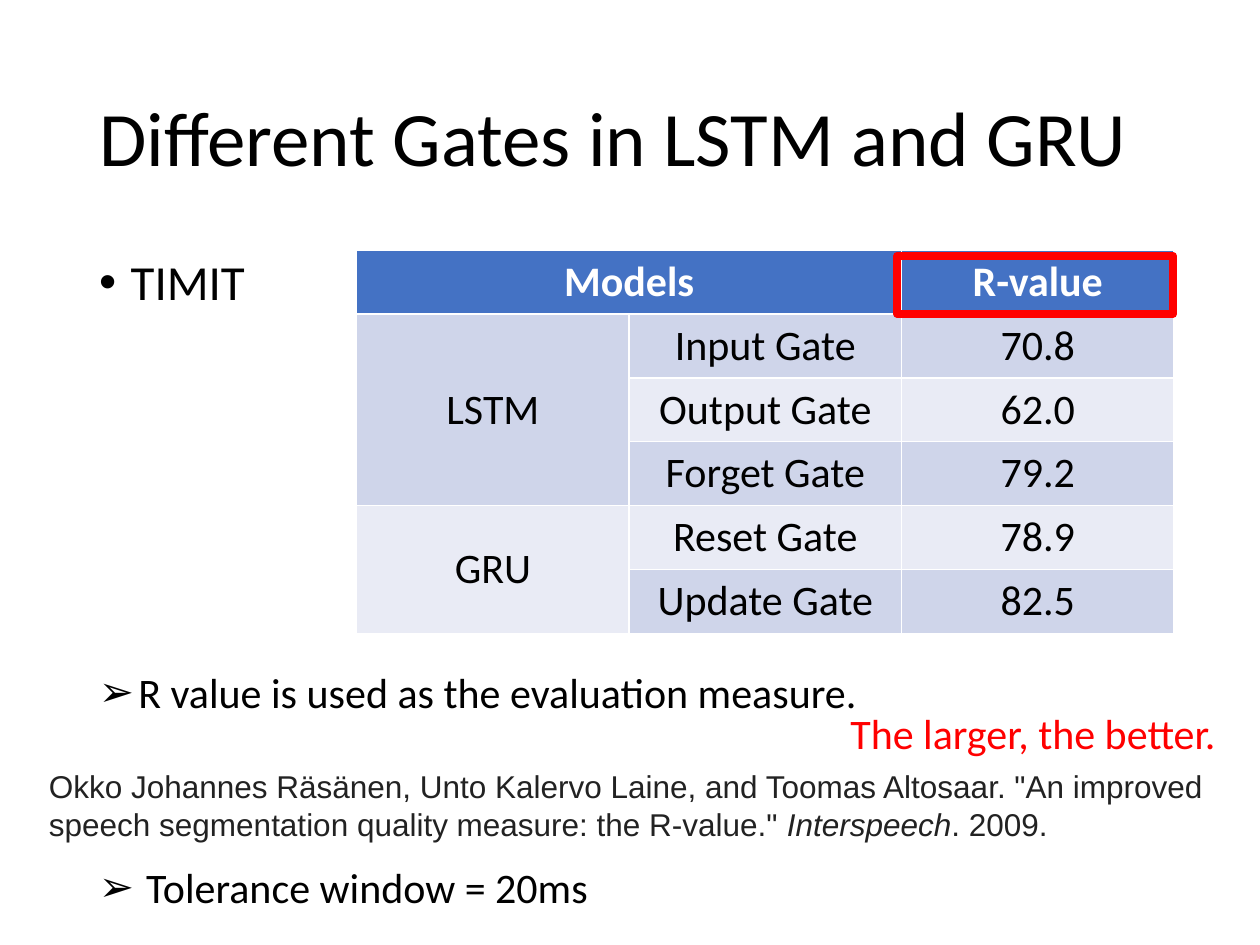
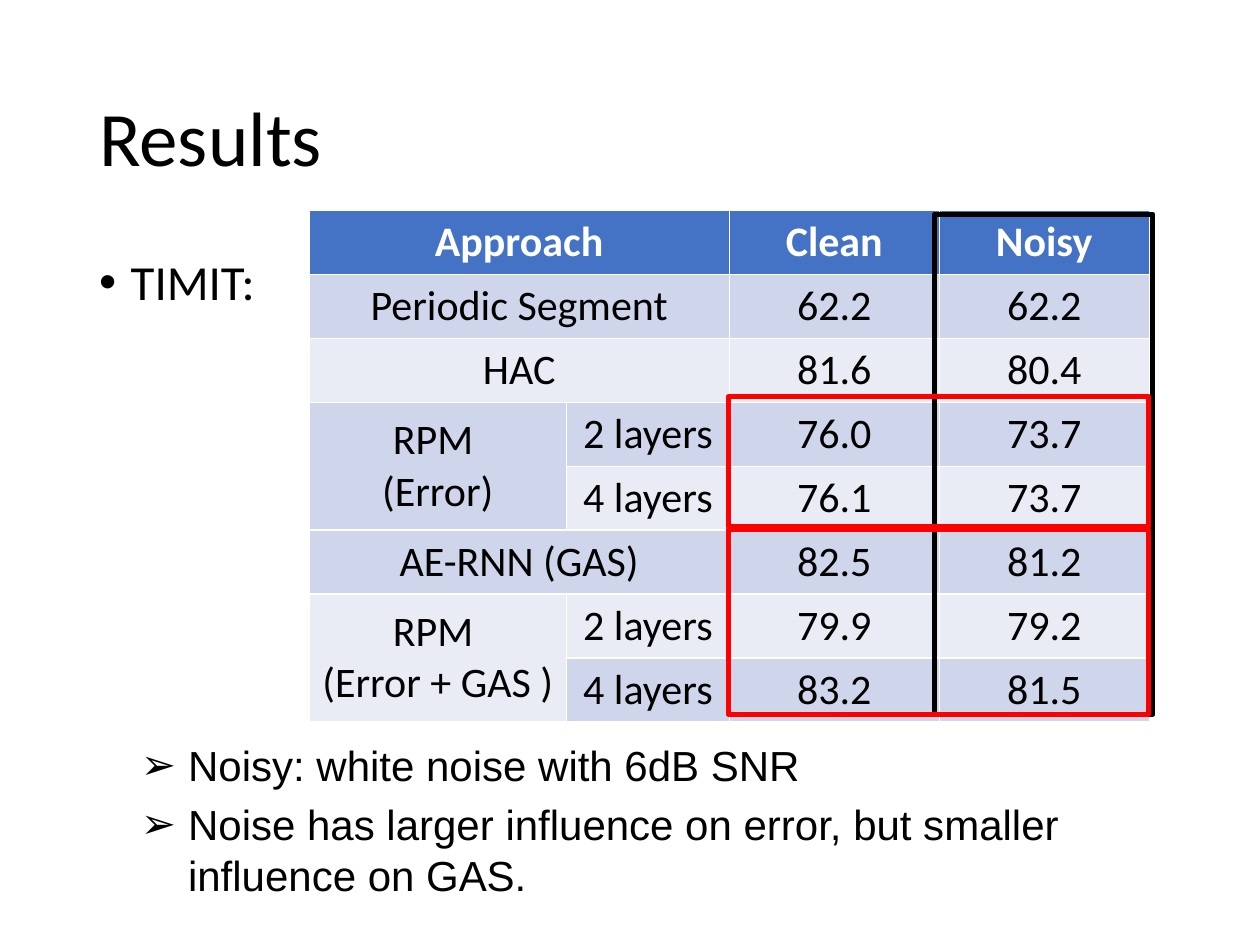
from dataclasses import dataclass

from lxml import etree
from pptx import Presentation
from pptx.dml.color import RGBColor
from pptx.enum import shapes, text
from pptx.oxml import ns
from pptx.util import Pt


@dataclass(frozen=True)
class Theme:
    ink: str = "000000"
    citation: str = "222222"
    accent: str = "FF0000"
    header: str = "4472C4"
    header_ink: str = "FFFFFF"
    bands: tuple = ("E9EBF5", "CFD5EA")  # even rows, odd rows
    sans: str = "Calibri"
    plain: str = "Arial"
    title_size: int = 44
    list_size: int = 28
    text_size: int = 24
    citation_size: int = 18
    row_height: float = 36.4


THEME = Theme()
TITLE_BOX = (49.5, 28.8, 621, 104.4)
BODY_BOX = (49.5, 144, 621, 342.7)


def place(shape, box):
    shape.left, shape.top, shape.width, shape.height = map(Pt, box)


def style(paragraph, size, color=THEME.ink, name=THEME.sans, bold=False):
    font = paragraph.font
    font.size, font.name, font.bold = Pt(size), name, bold
    font.color.rgb = RGBColor.from_string(color)


def set_bullet(paragraph, character, indent):
    properties = paragraph._p.get_or_add_pPr()
    properties.set("marL", str(Pt(indent)))
    properties.set("indent", str(-Pt(indent)))
    etree.SubElement(properties, ns.qn("a:buFont")).set("typeface", THEME.plain)
    etree.SubElement(properties, ns.qn("a:buChar")).set("char", character)


# Title and topic, shared by both slides
def add_content_slide(presentation, title, topic):
    slide = presentation.slides.add_slide(presentation.slide_layouts[1])
    parts = (
        (slide.shapes.title, TITLE_BOX, title, THEME.title_size, text.MSO_ANCHOR.MIDDLE),
        (slide.placeholders[1], BODY_BOX, topic, THEME.list_size, text.MSO_ANCHOR.TOP),
    )
    for shape, box, wording, size, anchor in parts:
        place(shape, box)
        frame = shape.text_frame
        frame.text = wording
        frame.auto_size = text.MSO_AUTO_SIZE.NONE
        frame.vertical_anchor = anchor
        paragraph = frame.paragraphs[0]
        paragraph.alignment = text.PP_ALIGN.LEFT
        paragraph.line_spacing = 0.9
        style(paragraph, size)
    paragraph.space_before = Pt(10)
    set_bullet(paragraph, "•", 18)
    return slide


# Banded table; merges are (first row, first column, last row, last column)
def add_score_table(slide, left, top, widths, rows, merges):
    height = THEME.row_height * len(rows)
    frame = slide.shapes.add_table(
        len(rows), len(widths), Pt(left), Pt(top), Pt(sum(widths)), Pt(height))
    table = frame.table
    for column, width in zip(table.columns, widths):
        column.width = Pt(width)
    for row_index, row in enumerate(rows):
        table.rows[row_index].height = Pt(THEME.row_height)
        is_header = row_index == 0
        fill = THEME.header if is_header else THEME.bands[row_index % 2]
        color = THEME.header_ink if is_header else THEME.ink
        for column_index, wording in enumerate(row):
            cell = table.cell(row_index, column_index)
            cell.text = wording
            cell.vertical_anchor = text.MSO_ANCHOR.MIDDLE
            cell.fill.solid()
            cell.fill.fore_color.rgb = RGBColor.from_string(fill)
            for paragraph in cell.text_frame.paragraphs:
                paragraph.alignment = text.PP_ALIGN.CENTER
                style(paragraph, THEME.text_size, color, bold=is_header)
    for first_row, first_column, last_row, last_column in merges:
        table.cell(first_row, first_column).merge(table.cell(last_row, last_column))


# Outline around a group of cells
def add_highlight(slide, box, color, weight):
    shape = slide.shapes.add_shape(shapes.MSO_SHAPE.RECTANGLE, *map(Pt, box))
    shape.shadow.inherit = False
    shape.fill.background()
    shape.line.color.rgb = RGBColor.from_string(color)
    shape.line.width = Pt(weight)


# Free text, with an arrow bullet when an indent is given
def add_note(slide, box, wording, indent=0, wrap=True, size=THEME.text_size,
             color=THEME.ink, name=THEME.sans):
    frame = slide.shapes.add_textbox(*map(Pt, box)).text_frame
    frame.word_wrap = wrap
    frame.auto_size = text.MSO_AUTO_SIZE.SHAPE_TO_FIT_TEXT
    paragraph = frame.paragraphs[0]
    paragraph.text = wording
    style(paragraph, size, color, name)
    if indent:
        set_bullet(paragraph, "➢", indent)
    return paragraph


def build_gates_slide(presentation):
    slide = add_content_slide(presentation, "Different Gates in LSTM and GRU", "TIMIT")
    rows = (
        ("Models", "", "R-value"),
        ("LSTM", "Input Gate", "70.8"),
        ("", "Output Gate", "62.0"),
        ("", "Forget Gate", "79.2"),
        ("GRU", "Reset Gate", "78.9"),
        ("", "Update Gate", "82.5"),
    )
    merges = ((0, 0, 0, 1), (1, 0, 3, 0), (4, 0, 5, 0))
    add_score_table(slide, 203.8, 142.9, [155.7] * 3, rows, merges)
    add_highlight(slide, (512.7, 146.2, 157.7, 33.2), THEME.accent, 4.5)

    # Evaluation measure and its source
    add_note(slide, (49.5, 377.3, 525.6, 36), "R value is used as the evaluation measure.", 22.5)
    add_note(slide, (478.8, 401, 226, 36), "The larger, the better.",
             wrap=False, color=THEME.accent)
    citation = add_note(
        slide, (20.9, 434.9, 683.3, 51),
        "Okko Johannes Räsänen, Unto Kalervo Laine, and Toomas Altosaar. "
        '"An improved speech segmentation quality measure: the R-value." ',
        size=THEME.citation_size, color=THEME.citation, name=THEME.plain)
    venue = citation.add_run()
    venue.text = "Interspeech"
    venue.font.italic = True
    citation.add_run().text = ". 2009."
    add_note(slide, (49.5, 488.9, 544.3, 36), "Tolerance window = 20ms", 27)


def build_results_slide(presentation):
    slide = add_content_slide(presentation, "Results", "TIMIT:")
    rows = (
        ("Approach", "", "Clean", "Noisy"),
        ("Periodic Segment", "", "62.2", "62.2"),
        ("HAC", "", "81.6", "80.4"),
        ("RPM \n(Error)", "2 layers", "76.0", "73.7"),
        ("", "4 layers", "76.1", "73.7"),
        ("AE-RNN (GAS)", "", "82.5", "81.2"),
        ("RPM \n(Error + GAS )", "2 layers", "79.9", "79.2"),
        ("", "4 layers", "83.2", "81.5"),
    )
    merges = [(row, 0, row, 1) for row in (0, 1, 2, 5)]
    merges += [(row, 0, row + 1, 0) for row in (3, 6)]
    add_score_table(slide, 176.6, 120.4, (147.2, 93, 120, 120), rows, merges)

    # Findings
    for top, width, wording in (
        (419, 411.8, "Noisy: white noise with 6dB SNR"),
        (452.9, 583.2, "Noise has larger influence on error, but smaller influence on GAS."),
    ):
        add_note(slide, (73.4, top, width, 36), wording, 27, name=THEME.plain)

    # Noisy column, then the rows without and with GAS
    add_highlight(slide, (534.2, 122.4, 124.6, 285.8), THEME.ink, 3)
    for top, height in ((226.8, 74.2), (302.4, 105.8)):
        add_highlight(slide, (416.2, top, 240, height), THEME.accent, 3)


def main():
    presentation = Presentation()
    presentation.slide_width, presentation.slide_height = Pt(720), Pt(540)
    build_gates_slide(presentation)
    build_results_slide(presentation)
    presentation.save("out.pptx")


if __name__ == "__main__":
    main()
